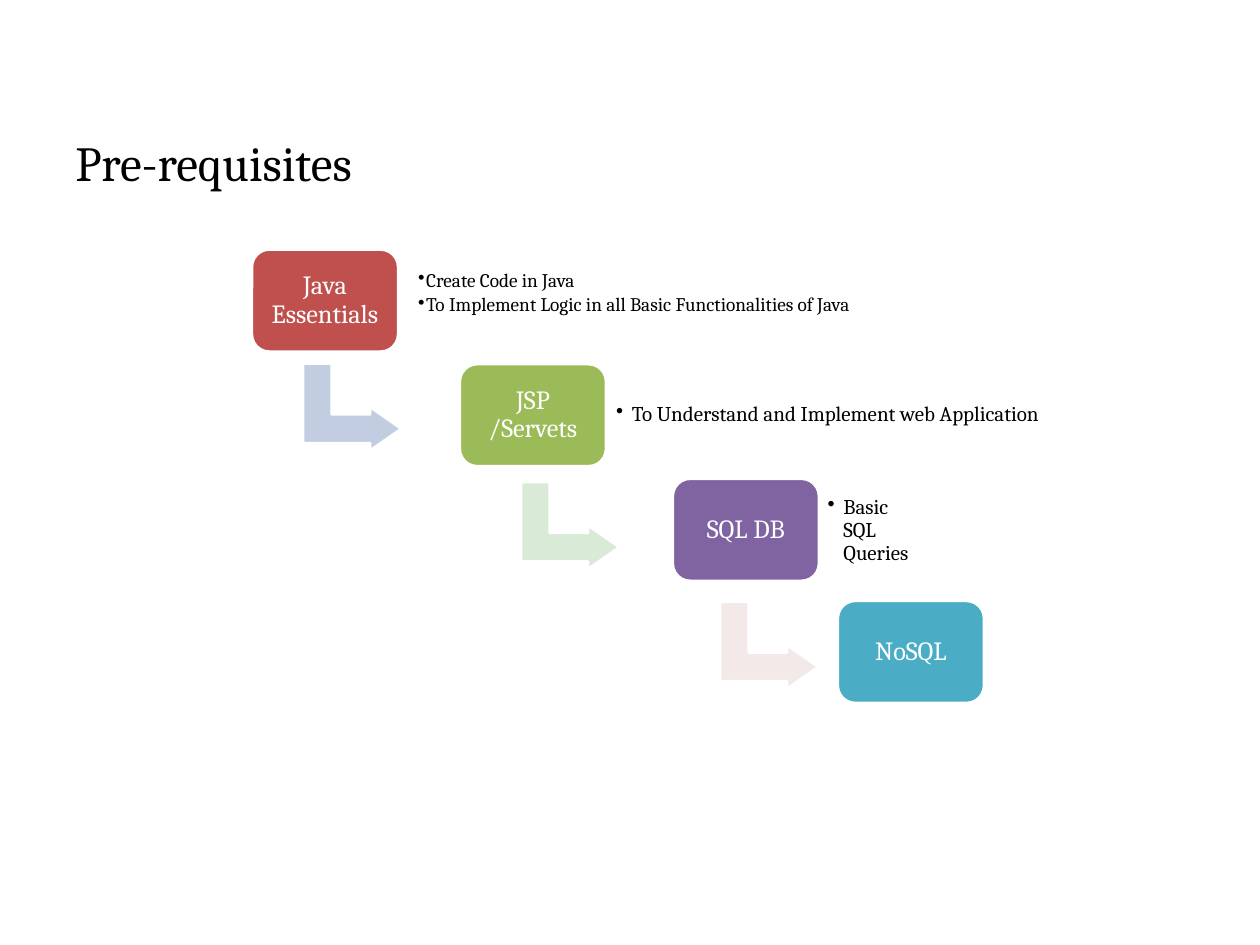
from lxml import etree
from pptx import Presentation
from pptx.dml.color import RGBColor
from pptx.enum.shapes import MSO_SHAPE
from pptx.enum.text import MSO_ANCHOR, PP_ALIGN
from pptx.oxml.ns import qn
from pptx.util import Pt

ROUNDED = MSO_SHAPE.ROUNDED_RECTANGLE
BENT_ARROW = MSO_SHAPE.BENT_UP_ARROW
MIDDLE, TOP = MSO_ANCHOR.MIDDLE, MSO_ANCHOR.TOP
CENTER = PP_ALIGN.CENTER

FONT = "Cambria"
COLORS = {
    "text": "000000",
    "white": "FFFFFF",
    "red": "C0504D",
    "green": "9BBB59",
    "purple": "8064A2",
    "teal": "4BACC6",
    "pale_blue": "C2CDE1",
    "pale_green": "D9EBD6",
    "pale_pink": "F4E9E9",
}
STEP_WIDTH, STEP_HEIGHT = 83.5, 58.3
ARROW_WIDTH, ARROW_HEIGHT = 49.7, 56.2
NOTE_HEIGHT = 47.5

# label, color, left, top
STEPS = [
    ("Java Essentials", "red", 144, 142.6),
    ("JSP /Servets", "green", 262.8, 208.1),
    ("SQL DB", "purple", 384.5, 273.6),
    ("NoSQL", "teal", 478.8, 343.4),
]
# color, left, top before rotation
ARROWS = [
    ("pale_blue", 176.4, 204.5),
    ("pale_green", 301, 272.2),
    ("pale_pink", 414.7, 340.6),
]
# lines, size, indent, inset, left, top, width
NOTES = [
    (["Create Code in Java",
      "To Implement Logic in all Basic Functionalities of Java"],
     11, 4.5, 3.6, 235.4, 144, 275),
    (["To Understand and Implement web Application"],
     12, 9, 3.6, 348.5, 213.1, 249.1),
    (["Basic SQL Queries"], 12, 9, 5, 468, 279.4, 60.5),
]


def color(name):
    return RGBColor.from_string(COLORS[name])


def set_frame(frame, anchor, horizontal, vertical):
    frame.word_wrap = True
    frame.vertical_anchor = anchor
    frame.margin_left = frame.margin_right = Pt(horizontal)
    frame.margin_top = frame.margin_bottom = Pt(vertical)


def set_paragraph(paragraph, text, size, color_name):
    paragraph.text = text
    paragraph.font.name = FONT
    paragraph.font.size = Pt(size)
    paragraph.font.color.rgb = color(color_name)


def add_bullet(paragraph, indent):
    properties = paragraph._p.get_or_add_pPr()
    properties.set("marL", str(Pt(indent)))
    properties.set("indent", str(-Pt(indent)))
    etree.SubElement(properties, qn("a:buChar")).set("char", "•")


def add_filled_shape(slide, kind, box, fill, adjustments):
    shape = slide.shapes.add_shape(kind, *map(Pt, box))
    shape.shadow.inherit = False
    shape.fill.solid()
    shape.fill.fore_color.rgb = color(fill)
    shape.line.color.rgb = color("white")
    shape.line.width = Pt(1.5)
    for index, value in enumerate(adjustments):
        shape.adjustments[index] = value
    return shape


def add_title(slide, text):
    frame = slide.shapes.add_textbox(Pt(36), Pt(72), Pt(648), Pt(72)).text_frame
    set_frame(frame, TOP, 7.2, 3.6)
    set_paragraph(frame.paragraphs[0], text, 28, "text")


def add_arrow(slide, fill, left, top):
    box = (left, top, ARROW_WIDTH, ARROW_HEIGHT)
    arrow = add_filled_shape(slide, BENT_ARROW, box, fill, (0.33, 0.25, 0.36))
    arrow.rotation = 90


def add_step(slide, label, fill, left, top):
    box = (left, top, STEP_WIDTH, STEP_HEIGHT)
    step = add_filled_shape(slide, ROUNDED, box, fill, (0.17,))
    set_frame(step.text_frame, MIDDLE, 4.3, 4.3)
    paragraph = step.text_frame.paragraphs[0]
    set_paragraph(paragraph, label, 15, "white")
    paragraph.alignment = CENTER
    paragraph.line_spacing = 0.9


def add_note(slide, lines, size, indent, inset, left, top, width):
    box = (left, top, width, NOTE_HEIGHT)
    frame = slide.shapes.add_textbox(*map(Pt, box)).text_frame
    set_frame(frame, MIDDLE, inset, inset)
    for index, line in enumerate(lines):
        paragraph = frame.add_paragraph() if index else frame.paragraphs[0]
        set_paragraph(paragraph, line, size, "text")
        paragraph.line_spacing = 0.9
        paragraph.space_after = Pt(2)
        # The bullet must precede the default run properties in the XML.
        properties = paragraph._p.get_or_add_pPr()
        defaults = properties.find(qn("a:defRPr"))
        add_bullet(paragraph, indent)
        properties.append(defaults)


def main():
    presentation = Presentation()
    presentation.slide_width, presentation.slide_height = Pt(720), Pt(540)
    slide = presentation.slides.add_slide(presentation.slide_layouts[6])
    add_title(slide, "Pre-requisites")
    for arrow in ARROWS:
        add_arrow(slide, *arrow)
    for step in STEPS:
        add_step(slide, *step)
    for note in NOTES:
        add_note(slide, *note)
    presentation.save("out.pptx")


if __name__ == "__main__":
    main()
